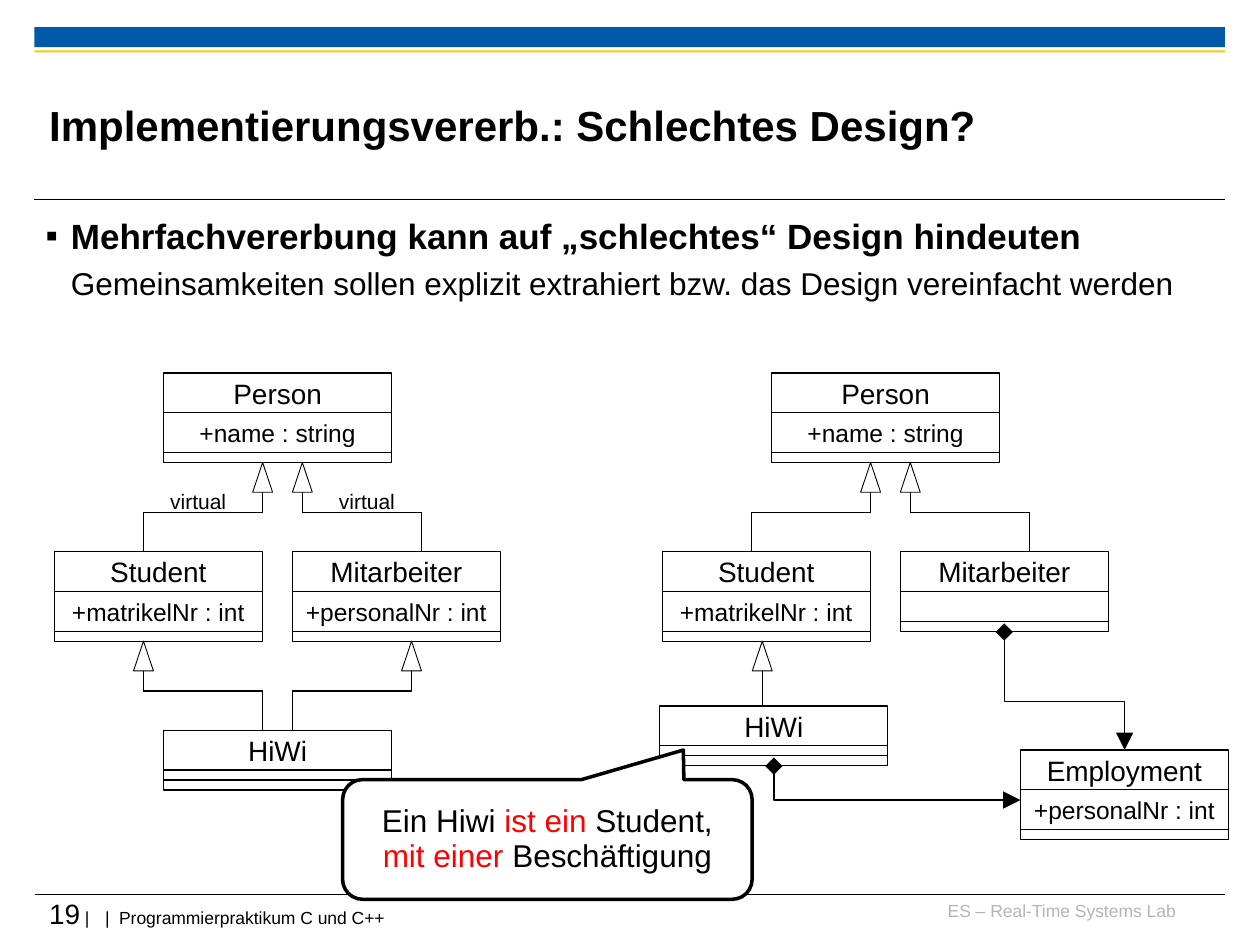
from lxml import etree
from pptx import Presentation
from pptx.dml.color import RGBColor
from pptx.enum.shapes import MSO_CONNECTOR, MSO_SHAPE
from pptx.enum.text import MSO_ANCHOR, PP_ALIGN
from pptx.oxml.ns import qn
from pptx.util import Pt

RECT = MSO_SHAPE.RECTANGLE
PEAK = MSO_SHAPE.ISOSCELES_TRIANGLE
BUBBLE = MSO_SHAPE.ROUNDED_RECTANGULAR_CALLOUT
STRAIGHT, ELBOW = MSO_CONNECTOR.STRAIGHT, MSO_CONNECTOR.ELBOW
TOP, MIDDLE = MSO_ANCHOR.TOP, MSO_ANCHOR.MIDDLE
LEFT, CENTER, RIGHT = PP_ALIGN.LEFT, PP_ALIGN.CENTER, PP_ALIGN.RIGHT

BLACK, WHITE, RED = "000000", "FFFFFF", "FF0000"
BLUE, GOLD, GRAY = "005AA9", "FDCA00", "B5B5B5"
FONT = "Arial"
INSET = (7.2, 3.6, 7.2, 3.6)
ROW, SLIM = 22.7, 5.7  # heights of text rows and empty rows


def color(code):
    return RGBColor.from_string(code)


def add_run(para, text, size, tint=BLACK, bold=False):
    run = para.add_run()
    run.text = text
    font = run.font
    font.name, font.size, font.bold = FONT, Pt(size), bold
    font.color.rgb = color(tint)


def set_frame(frame, anchor=TOP, inset=(0, 0, 0, 0), wrap=True):
    frame.word_wrap = wrap
    frame.vertical_anchor = anchor
    (frame.margin_left, frame.margin_top,
     frame.margin_right, frame.margin_bottom) = map(Pt, inset)


def add_text(slide, box, runs, align=LEFT, **style):
    frame = slide.shapes.add_textbox(*map(Pt, box)).text_frame
    set_frame(frame, **style)
    para = frame.paragraphs[0]
    para.alignment = align
    for run in runs:
        add_run(para, *run)
    return frame


def add_shape(slide, kind, box, fill=WHITE, line=None):
    shape = slide.shapes.add_shape(kind, *map(Pt, box))
    shape.shadow.inherit = False
    shape.fill.solid()
    shape.fill.fore_color.rgb = color(fill)
    if line:
        shape.line.color.rgb = color(BLACK)
        shape.line.width = Pt(line)
    else:
        shape.line.fill.background()
    return shape


def add_line(slide, x1, y1, x2, y2, width=0.75, kind=STRAIGHT):
    line = slide.shapes.add_connector(kind, *map(Pt, (x1, y1, x2, y2)))
    line.line.color.rgb = color(BLACK)
    line.line.width = Pt(width)
    etree.SubElement(line._element.spPr, qn("a:effectLst"))
    return line


def add_bend(slide, x1, y1, x2, y2, preset, turn=None):
    """Elbow that leaves downwards, with a diamond at its start."""
    line = add_line(slide, x1, y1, x2, y2, kind=ELBOW)
    wide, high = x2 - x1, y2 - y1
    # The frame lies on its side: turned by 270 degrees and mirrored
    line.left, line.top = Pt((x1 + x2 - high) / 2), Pt((y1 + y2 - wide) / 2)
    line.width, line.height = Pt(high), Pt(wide)
    props = line._element.spPr
    frame = props.find(qn("a:xfrm"))
    frame.set("rot", "16200000")
    frame.set("flipH", "1")
    geom = props.find(qn("a:prstGeom"))
    geom.set("prst", preset)
    if turn:
        guide = etree.SubElement(geom.find(qn("a:avLst")), qn("a:gd"))
        guide.set("name", "adj1")
        guide.set("fmla", f"val {round(turn * 100000)}")
    for tag, tip in (("a:headEnd", "diamond"), ("a:tailEnd", "triangle")):
        end = etree.SubElement(props.find(qn("a:ln")), qn(tag))
        end.set("type", tip)
        end.set("w", "lg")
        end.set("len", "lg")


def add_class(slide, x, y, width, name, field=None, gap=SLIM):
    """UML class: name, then a field or an empty row, then a slim row."""
    rows = [(name, 16, ROW), (field, 14, ROW if field else gap), (None, 0, SLIM)]
    for text, size, high in rows:
        cell = add_shape(slide, RECT, (x, y, width, high), line=0.75)
        if text:
            set_frame(cell.text_frame, MIDDLE, INSET, wrap=False)
            para = cell.text_frame.paragraphs[0]
            para.alignment = CENTER
            add_run(para, text, size)
        y += high


def add_arm(slide, tip, top, foot, base):
    """Inheritance arrow from the subclass (foot, base) up to (tip, top)."""
    neck = top + 17
    add_shape(slide, PEAK, (tip - 5.7, top, 11.4, 17), line=0.5)
    if tip == foot:
        add_line(slide, tip, neck, tip, base, 0.5)
        return
    bend = top + 28.4
    add_line(slide, tip, neck, tip, bend, 0.5)
    add_line(slide, tip, bend, foot, bend)
    add_line(slide, foot, bend, foot, base)


def add_chrome(slide):
    add_shape(slide, RECT, (19.6, 15.6, 680.4, 11.4), BLUE)
    add_shape(slide, RECT, (19.6, 28.8, 680.4, 1.2), GOLD)
    add_line(slide, 19.6, 114.2, 700, 114.2, 0.6)
    add_line(slide, 19.8, 511.2, 700, 511.2, 0.6)
    add_text(slide, (530, 514.1, 141.8, 18),
             [("ES – Real-Time Systems Lab", 10, GRAY)], RIGHT)
    foot = add_text(slide, (28.1, 512.6, 671.8, 23.8),
                    [("19", 16), (" |\t|\tProgrammierpraktikum C und C++", 10)])
    tabs = etree.SubElement(foot.paragraphs[0]._p.get_or_add_pPr(), qn("a:tabLst"))
    for spot in (32, 40):
        stop = etree.SubElement(tabs, qn("a:tab"))
        stop.set("pos", str(Pt(spot)))
        stop.set("algn", "l")


def add_body(slide):
    frame = add_text(
        slide, (19.6, 116.6, 680.4, 68.4),
        [("Mehrfachvererbung kann auf „schlechtes“ Design hindeuten", 20, BLACK, True)],
        inset=(6.5, 6, 6.5, 0))
    head = frame.paragraphs[0]._p.get_or_add_pPr()
    head.set("marL", str(Pt(14.4)))
    head.set("indent", str(-Pt(14.4)))
    etree.SubElement(head, qn("a:buFont")).set("typeface", FONT)
    etree.SubElement(head, qn("a:buChar")).set("char", "▪")
    para = frame.add_paragraph()
    para.level = 1
    para.space_before = Pt(4.5)
    para._p.get_or_add_pPr().set("marL", str(Pt(14.4)))
    add_run(para, "Gemeinsamkeiten sollen explizit extrahiert bzw. "
                  "das Design vereinfacht werden", 18)


def add_bubble(slide):
    note = add_shape(slide, BUBBLE, (195.8, 445.5, 234, 68.4), line=2)
    for i, value in enumerate((0.332, -0.747, 0.167)):
        note.adjustments[i] = value
    set_frame(note.text_frame, MIDDLE, INSET)
    para = note.text_frame.paragraphs[0]
    para.alignment = CENTER
    para.line_spacing = 0.93
    for text, tint in (("Ein Hiwi ", BLACK), ("ist ein", RED), (" Student, ", BLACK),
                       ("mit einer", RED), (" Beschäftigung", BLACK)):
        add_run(para, text, 18, tint)


def main():
    deck = Presentation()
    deck.slide_width, deck.slide_height = Pt(720), Pt(540)
    slide = deck.slides.add_slide(deck.slide_layouts[6])

    # Frame, title and body
    add_chrome(slide)
    add_text(slide, (28.1, 38.2, 541.4, 66.2),
             [("Implementierungsvererb.: Schlechtes Design?", 24, BLACK, True)],
             anchor=MIDDLE)
    add_body(slide)

    # Both trees share their upper part
    for x, gap in ((31, None), (378.4, 17)):
        add_class(slide, x + 62.5, 213.2, 130.3, "Person", "+name : string")
        add_class(slide, x, 315.3, 119, "Student", "+matrikelNr : int")
        add_class(slide, x + 136, 315.3, 119, "Mitarbeiter",
                  None if gap else "+personalNr : int", gap)
        add_arm(slide, x + 119.1, 264.3, x + 51, 315.3)
        add_arm(slide, x + 141.8, 264.3, x + 209.9, 315.3)

    # Left tree: multiple inheritance
    add_class(slide, 93.5, 417.4, 130.3, "HiWi")
    add_arm(slide, 82, 366.4, 150.2, 417.4)
    add_arm(slide, 235.2, 366.4, 167, 417.4)
    for x in (82, 178.4):
        add_text(slide, (x, 275.8, 62.6, 21.6), [("virtual", 12)], CENTER, inset=INSET)

    # Right tree: composition
    add_class(slide, 377, 403.4, 130.3, "HiWi")
    add_arm(slide, 435.6, 366.4, 435.6, 403.4)
    add_class(slide, 583.1, 428.6, 119, "Employment", "+personalNr : int")
    add_bend(slide, 442.2, 437.8, 583.1, 457.2, "bentConnector2")
    add_bend(slide, 573.8, 361.2, 642.6, 428.6, "bentConnector3", 0.59)

    add_bubble(slide)
    deck.save("out.pptx")


if __name__ == "__main__":
    main()
